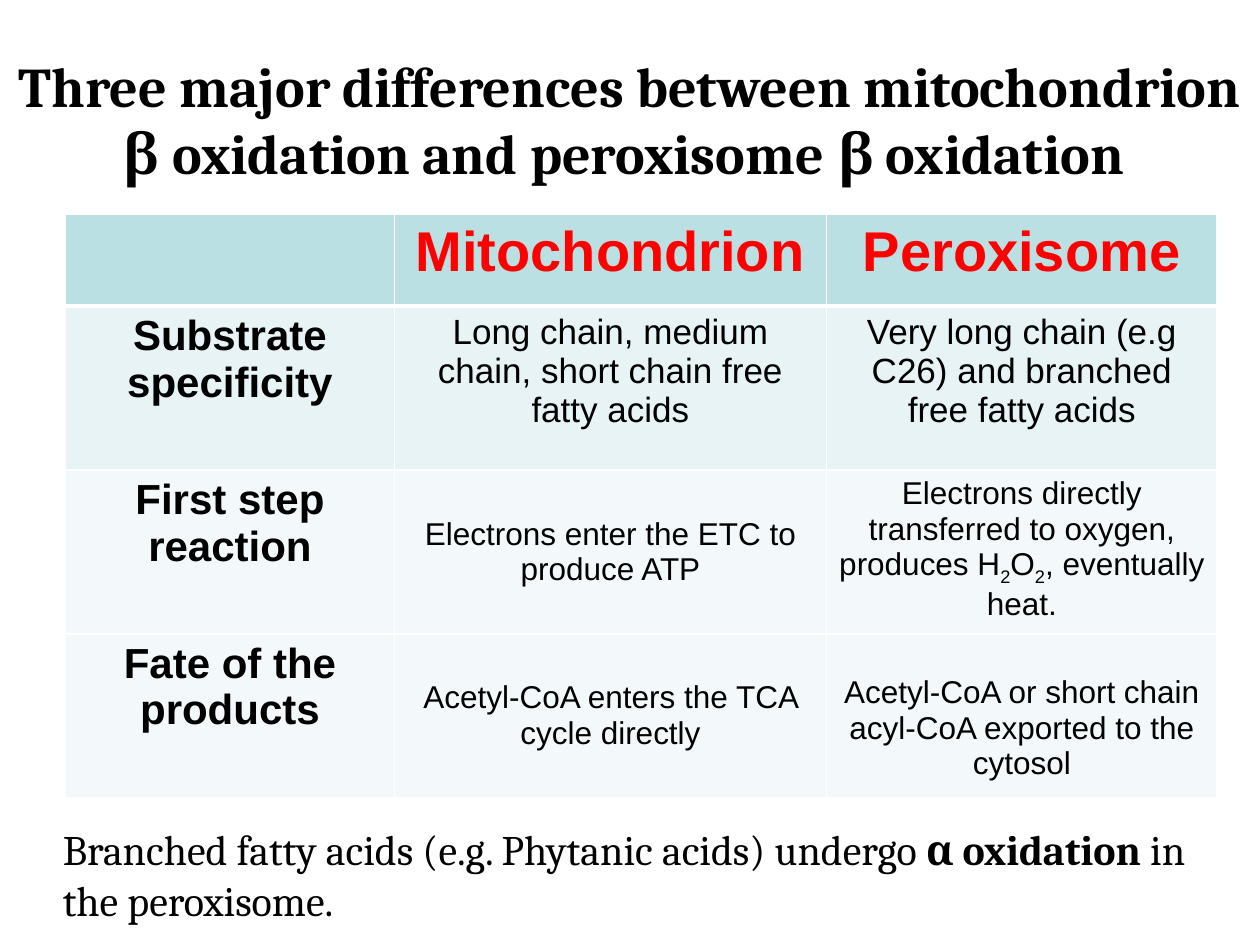
from pptx import Presentation
from pptx.dml.color import RGBColor
from pptx.enum.text import MSO_ANCHOR, MSO_AUTO_SIZE, PP_ALIGN
from pptx.oxml import parse_xml
from pptx.oxml.ns import nsdecls
from pptx.util import Inches, Pt

CENTER, LEFT = PP_ALIGN.CENTER, PP_ALIGN.LEFT
TOP, MIDDLE = MSO_ANCHOR.TOP, MSO_ANCHOR.MIDDLE
NO_AUTOFIT = MSO_AUTO_SIZE.NONE

BLACK = RGBColor(0x00, 0x00, 0x00)
RED = RGBColor(0xFF, 0x00, 0x00)
WHITE = RGBColor(0xFF, 0xFF, 0xFF)
HEADER_FILL = RGBColor(0xBB, 0xE0, 0xE3)
ROW_FILLS = [HEADER_FILL, RGBColor(0xE7, 0xF3, 0xF4),
             RGBColor(0xF3, 0xF9, 0xFA), RGBColor(0xF3, 0xF9, 0xFA)]

COLUMN_WIDTHS = [2.61, 3.43, 3.1]
ROW_HEIGHTS = [0.73, 1.3, 1.3, 1.3]
PEROXIDE = [("Electrons directly transferred to oxygen, produces H", {}),
            ("2", {"sub": True}), ("O", {}), ("2", {"sub": True}),
            (", eventually heat.", {})]
HEADER = {"size": 32, "bold": True, "color": RED}
LABEL = {"size": 24, "bold": True}
ROWS = [
    [("", {}), ("Mitochondrion", HEADER), ("Peroxisome", HEADER)],
    [("Substrate specificity", LABEL),
     ("Long chain, medium chain, short chain free fatty acids", {"size": 20}),
     ("Very long chain (e.g C26) and branched free fatty acids", {"size": 20})],
    [("First step reaction", LABEL),
     ("Electrons enter the ETC to produce ATP", {"anchor": MIDDLE}),
     (PEROXIDE, {})],
    [("Fate of the products", LABEL),
     ("Acetyl-CoA enters the TCA cycle directly", {"anchor": MIDDLE}),
     ("Acetyl-CoA or short chain acyl-CoA exported to the cytosol",
      {"top": 0.33})],
]


def write(tf, text, size=18, font="Arial", color=BLACK, bold=False, align=CENTER):
    """Fill the first paragraph with a string or a list of (text, format) runs."""
    p = tf.paragraphs[0]
    p.alignment = align
    for part, style in [(text, {})] if isinstance(text, str) else text:
        r = p.add_run()
        r.text = part
        r.font.size, r.font.name = Pt(size), font
        r.font.bold = style.get("bold", bold)
        r.font.color.rgb = color
        if style.get("sub"):
            r.font._element.set("baseline", "-25000")


def place(s, left, top, width, height):
    """Position a shape and make its text wrap from the top."""
    s.left, s.top = Inches(left), Inches(top)
    s.width, s.height = Inches(width), Inches(height)
    tf = s.text_frame
    tf.word_wrap, tf.auto_size, tf.vertical_anchor = True, NO_AUTOFIT, TOP
    return tf


def set_borders(cell, **widths):
    """Draw white cell borders with the given widths in points."""
    tc_pr = cell._tc.get_or_add_tcPr()
    for i, (side, width) in enumerate(widths.items()):
        tc_pr.insert(i, parse_xml(
            f'<a:{side} {nsdecls("a")} w="{Pt(width)}"><a:solidFill>'
            f'<a:srgbClr val="{WHITE}"/></a:solidFill></a:{side}>'))


def add_title(slide, left, top, width, height):
    """Place and format the slide title."""
    write(place(slide.shapes.title, left, top, width, height),
          "Three major differences between mitochondrion "
          "β oxidation and peroxisome β oxidation ",
          size=32, font="Cambria", bold=True)


def fill_cell(cell, text, anchor=TOP, top=0.05, **style):
    """Write one table cell with its margins and anchor."""
    cell.margin_left = cell.margin_right = Inches(0.1)
    cell.margin_top, cell.margin_bottom = Inches(top), Inches(0.05)
    cell.vertical_anchor = anchor
    write(cell.text_frame, text, **style)


def add_comparison(slide, left, top, width, height):
    """Add the table comparing the two organelles."""
    table = slide.shapes.add_table(
        len(ROWS), len(COLUMN_WIDTHS), Inches(left), Inches(top),
        Inches(width), Inches(height)).table
    table.first_row = table.horz_banding = False
    for column, w in zip(table.columns, COLUMN_WIDTHS):
        column.width = Inches(w)
    for i, (row, h, fill) in enumerate(zip(ROWS, ROW_HEIGHTS, ROW_FILLS)):
        table.rows[i].height = Inches(h)
        for j, (text, style) in enumerate(row):
            cell = table.cell(i, j)
            fill_cell(cell, text, **style)
            cell.fill.solid()
            cell.fill.fore_color.rgb = fill
            set_borders(cell, lnL=1, lnR=1, lnT=3 if i == 1 else 1,
                        lnB=3 if i == 0 else 1)


def add_note(slide, left, top, width, height):
    """Add the closing remark below the table."""
    s = slide.shapes.add_textbox(0, 0, 0, 0)
    write(place(s, left, top, width, height),
          [("Branched fatty acids (e.g. Phytanic acids) undergo ", {}),
           ("α oxidation ", {"bold": True}), ("in the peroxisome.", {})],
          size=24, font="Cambria", align=LEFT)


def main():
    """Build and save the slide."""
    prs = Presentation()
    prs.slide_width, prs.slide_height = Inches(10), Inches(7.5)
    slide = prs.slides.add_slide(prs.slide_layouts[5])
    add_title(slide, 0, 0.36, 10, 1.18)
    add_comparison(slide, 0.52, 1.7, sum(COLUMN_WIDTHS), sum(ROW_HEIGHTS))
    add_note(slide, 0.4, 6.49, 9.37, 0.91)
    prs.save("out.pptx")


if __name__ == "__main__":
    main()
